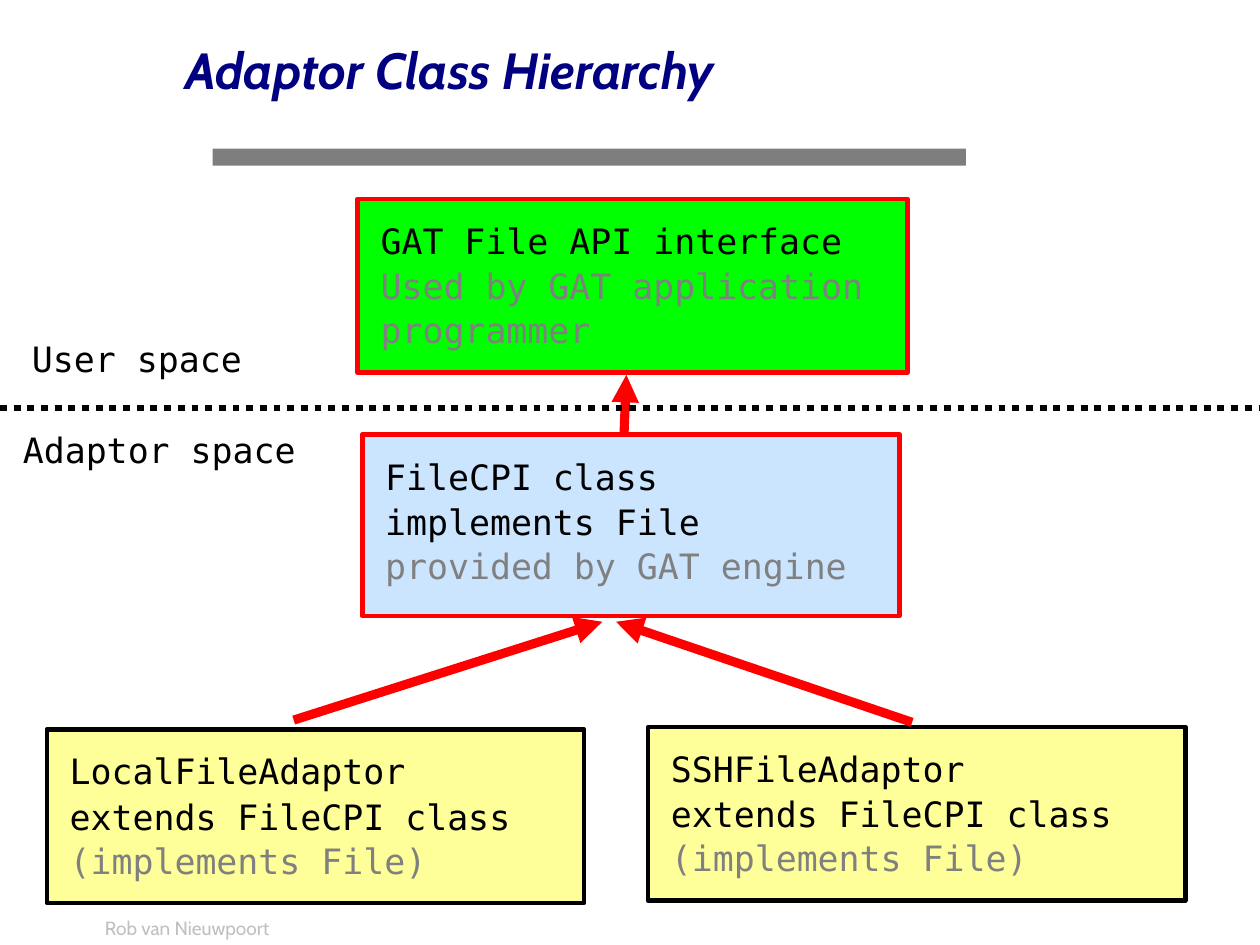
from dataclasses import dataclass

import lxml.etree
import pptx
import pptx.dml.color
import pptx.enum.dml
import pptx.enum.shapes
import pptx.enum.text
import pptx.oxml.ns
import pptx.util
from pptx.util import Inches

MONO, SANS = "DejaVu Sans Mono", "Cabin"
BLACK, GRAY, RED, YELLOW = "000000", "808080", "FF0000", "FFFF99"
SHAPE = pptx.enum.shapes.MSO_SHAPE
ANCHOR = pptx.enum.text.MSO_ANCHOR
qn = pptx.oxml.ns.qn


@dataclass
class ClassBox:
    x: float
    y: float
    w: float
    h: float
    fill: str
    line: str
    lines: list[tuple[str, str]]
    alpha: int = 100


@dataclass
class Line:
    x1: float
    y1: float
    x2: float
    y2: float
    color: str = RED
    width: float = 5.75
    arrow: bool = True


@dataclass
class Label:
    text: str
    x: float
    y: float
    w: float


BOXES = [
    ClassBox(3.13, 1.74, 4.81, 1.52, "00FF00", RED,
             [("GAT File API interface", BLACK),
              ("Used by GAT application", GRAY), ("programmer", GRAY)]),
    ClassBox(3.17, 3.8, 4.7, 1.59, "99CCFF", RED,
             [("FileCPI class", BLACK), ("implements File", BLACK),
              ("provided by GAT engine", GRAY)], alpha=50),
]
BOXES += [
    ClassBox(x, y, 4.7, 1.52, YELLOW, BLACK,
             [(name, BLACK), ("extends FileCPI class", BLACK),
              ("(implements File)", GRAY)])
    for name, x, y in [("LocalFileAdaptor", 0.41, 6.38),
                       ("SSHFileAdaptor", 5.67, 6.36)]
]
LINES = [
    Line(5.46, 3.79, 5.48, 3.28),
    Line(2.57, 6.3, 5.27, 5.44),
    Line(7.98, 6.32, 5.39, 5.44),
    Line(0, 3.57, 11.02, 3.57, BLACK, 4.31, arrow=False),
]
LABELS = [Label("User space", 0.08, 2.77, 2.32),
          Label("Adaptor space", 0, 3.57, 2.82)]


def rgb(color: str):
    return pptx.dml.color.RGBColor.from_string(color)


def write(tf, lines: list[tuple[str, str]], size=22, font=MONO, bold=False,
          italic=False, anchor=ANCHOR.TOP, inset=(0.2, 0.2)) -> None:
    """Fill a text frame with one paragraph per (text, color)."""
    tf.word_wrap = True
    tf.auto_size = pptx.enum.text.MSO_AUTO_SIZE.NONE
    tf.vertical_anchor = anchor
    tf.margin_left = tf.margin_right = Inches(inset[0])
    tf.margin_top = tf.margin_bottom = Inches(inset[1])
    for i, (text, color) in enumerate(lines):
        p = tf.paragraphs[0] if i == 0 else tf.add_paragraph()
        p.alignment = pptx.enum.text.PP_ALIGN.LEFT
        p.line_spacing = 1.05 if i else 0.98
        r = p.add_run()
        r.text = text
        r.font.name, r.font.size = font, pptx.util.Pt(size)
        r.font.bold, r.font.italic = bold, italic
        r.font.color.rgb = rgb(color)


def add_box(s, box: ClassBox) -> None:
    sp = s.shapes.add_shape(SHAPE.RECTANGLE, Inches(box.x), Inches(box.y),
                            Inches(box.w), Inches(box.h))
    sp.shadow.inherit = False
    sp.fill.solid()
    sp.fill.fore_color.rgb = rgb(box.fill)
    if box.alpha < 100:
        clr = sp._element.spPr.find(qn("a:solidFill")).find(qn("a:srgbClr"))
        lxml.etree.SubElement(clr, qn("a:alpha"), val=str(box.alpha * 1000))
    sp.line.color.rgb = rgb(box.line)
    sp.line.width = pptx.util.Pt(2.89)
    write(sp.text_frame, box.lines)


def add_line(s, line: Line) -> None:
    c = s.shapes.add_connector(
        pptx.enum.shapes.MSO_CONNECTOR.STRAIGHT, Inches(line.x1),
        Inches(line.y1), Inches(line.x2), Inches(line.y2))
    c.line.color.rgb = rgb(line.color)
    c.line.width = pptx.util.Pt(line.width)
    if line.arrow:
        lxml.etree.SubElement(c.line._get_or_add_ln(), qn("a:tailEnd"),
                              type="triangle")
    else:
        c.line.dash_style = pptx.enum.dml.MSO_LINE.ROUND_DOT
    lxml.etree.SubElement(c._element.spPr, qn("a:effectLst"))


def add_text(s, text: str, x: float, y: float, w: float, h: float,
             color=BLACK, **fmt) -> None:
    sp = s.shapes.add_textbox(Inches(x), Inches(y), Inches(w), Inches(h))
    write(sp.text_frame, [(text, color)], **fmt)


def main() -> None:
    prs = pptx.Presentation()
    # The page is 28 by 21 cm
    prs.slide_width, prs.slide_height = pptx.util.Cm(28), pptx.util.Cm(21)
    s = prs.slides.add_slide(prs.slide_layouts[5])

    # Title and the bar below it
    title = s.shapes.title
    title.left, title.top = Inches(1.62), Inches(0)
    title.width, title.height = Inches(6.91), Inches(1.25)
    write(title.text_frame, [("Adaptor Class Hierarchy", "000080")], size=32,
          font=SANS, bold=True, italic=True, anchor=ANCHOR.MIDDLE,
          inset=(0, 0))
    bar = s.shapes.add_shape(SHAPE.ROUNDED_RECTANGLE, Inches(1.86),
                             Inches(1.3), Inches(6.59), Inches(0.15))
    bar.adjustments[0] = 0.01
    bar.shadow.inherit = False
    bar.fill.solid()
    bar.fill.fore_color.rgb = rgb("7E7E7E")
    bar.line.fill.background()

    # Author
    add_text(s, "Rob van Nieuwpoort", 0.82, 7.94, 2.43, 0.33, "C0C0C0",
             size=12, font=SANS, anchor=ANCHOR.BOTTOM, inset=(0.1, 0.05))

    # Class hierarchy
    for box in BOXES:
        add_box(s, box)
    for line in LINES:
        add_line(s, line)
    for label in LABELS:
        add_text(s, label.text, label.x, label.y, label.w, 0.76)

    prs.save("out.pptx")


if __name__ == "__main__":
    main()
